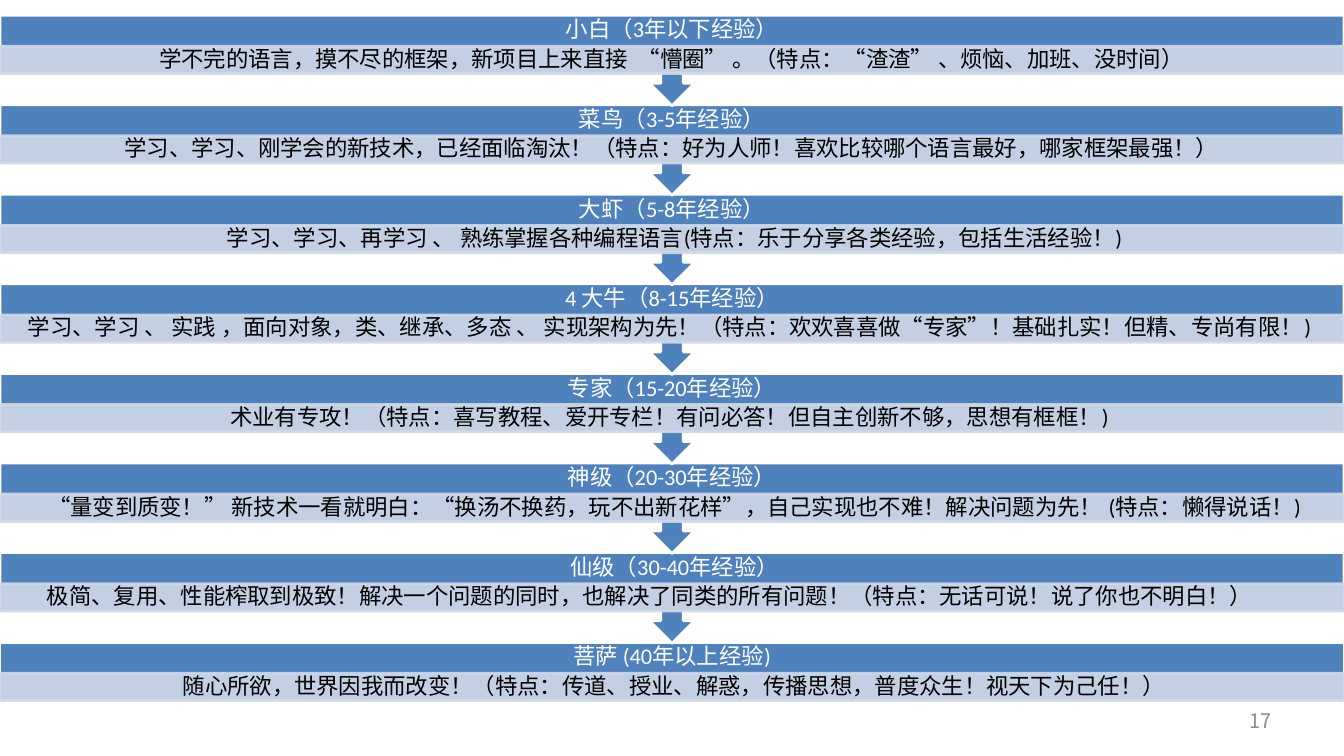
from lxml import etree
from pptx import Presentation
from pptx.dml.color import RGBColor
from pptx.enum.shapes import MSO_SHAPE
from pptx.enum.text import MSO_ANCHOR, PP_ALIGN
from pptx.oxml.ns import qn
from pptx.util import Inches, Pt

RECT, CALLOUT = MSO_SHAPE.RECTANGLE, MSO_SHAPE.UP_ARROW_CALLOUT
MIDDLE = MSO_ANCHOR.MIDDLE
CENTER, RIGHT = PP_ALIGN.CENTER, PP_ALIGN.RIGHT
WIDTH, HEIGHT = 13.33, 7.5
BLUE, PALE, WHITE, BLACK, GREY = "4F81BD", "D0D8E8", "FFFFFF", "000000", "8C8C8C"
TOP, BOTTOM = 0.15, 6.95
TITLE_H, DETAIL_H, LAST_H, CALLOUT_H = 0.31, 0.27, 0.58, 0.9

LEVELS = [
    ("小白（3年以下经验）",
     "学不完的语言，摸不尽的框架，新项目上来直接  “懵圈” 。（特点：“渣渣” 、烦恼、加班、没时间）"),
    ("菜鸟（3-5年经验）",
     "学习、学习、刚学会的新技术，已经面临淘汰！（特点：好为人师！喜欢比较哪个语言最好，哪家框架最强！）"),
    ("大虾（5-8年经验）",
     " 学习、学习、再学习 、 熟练掌握各种编程语言(特点：乐于分享各类经验，包括生活经验！)"),
    ("4 大牛（8-15年经验）",
     "学习、学习 、 实践 ，面向对象，类、继承、多态 、 实现架构为先！"
     "（特点：欢欢喜喜做“专家”！基础扎实！但精、专尚有限！) "),
    ("专家（15-20年经验）",
     "术业有专攻！（特点：喜写教程、爱开专栏！有问必答！但自主创新不够，思想有框框！) "),
    ("神级（20-30年经验）",
     " “量变到质变！” 新技术一看就明白：“换汤不换药，玩不出新花样”，自己实现也不难！"
     "解决问题为先！ (特点：懒得说话！)"),
    (" 仙级（30-40年经验）",
     " 极简、复用、性能榨取到极致！解决一个问题的同时，也解决了同类的所有问题！"
     "（特点：无话可说！说了你也不明白！）\t"),
    ("菩萨 (40年以上经验)",
     " 随心所欲，世界因我而改变！（特点：传道、授业、解惑，传播思想，普度众生！视天下为己任！）"),
]


def rgb(value):
    """Turn a hex string into a colour."""
    return RGBColor.from_string(value)


def add_box(s, kind, box, fill, line, alpha=None):
    """Add a filled, outlined shape, with an opacity in percent if given."""
    sp = s.shapes.add_shape(kind, *map(Inches, box))
    sp.shadow.inherit = False
    sp.fill.solid()
    sp.fill.fore_color.rgb = rgb(fill)
    sp.line.color.rgb = rgb(line)
    sp.line.width = Pt(2)
    if alpha:
        for clr in sp._element.spPr.iter(qn("a:srgbClr")):
            etree.SubElement(clr, qn("a:alpha")).set("val", str(alpha * 1000))
    return sp


def write(sp, text, color, size=16, font="Calibri", align=CENTER, spacing=0.9, inset=(0.12, 0.02)):
    """Write one vertically centred paragraph into a shape."""
    tf = sp.text_frame
    tf.word_wrap = True
    tf.vertical_anchor = MIDDLE
    tf.margin_left = tf.margin_right = Inches(inset[0])
    tf.margin_top = tf.margin_bottom = Inches(inset[1])
    p = tf.paragraphs[0]
    p.text = text
    p.alignment = align
    p.line_spacing = spacing
    f = p.runs[0].font
    f.size, f.name, f.color.rgb = Pt(size), font, rgb(color)


def add_level(s, top, title, detail, last):
    """Place one career level: title band, detail band and arrow to the next."""
    kind, height = (RECT, LAST_H) if last else (CALLOUT, CALLOUT_H)
    band = add_box(s, kind, (0, top, WIDTH, height), BLUE, WHITE)
    band.rotation = 0 if last else 180
    heading = s.shapes.add_textbox(*map(Inches, (0, top, WIDTH, TITLE_H)))
    write(heading, title, WHITE)
    strip = add_box(s, RECT, (0, top + TITLE_H, WIDTH, DETAIL_H), PALE, PALE, 90)
    write(strip, detail, BLACK)


def add_levels(s, top, bottom):
    """Stack the levels evenly, the lowest drawn first."""
    final = len(LEVELS) - 1
    pitch = (bottom - LAST_H - top) / final
    for i in range(final, -1, -1):
        add_level(s, top + i * pitch, *LEVELS[i], last=i == final)


def add_page_number(s, box, number):
    """Place the page number at the right of its box."""
    sp = s.shapes.add_textbox(*map(Inches, box))
    write(sp, number, GREY, 14.3, "Noto Sans CJK SC", RIGHT, 1.0, (0.06, 0.03))


def main():
    """Build and save the slide."""
    prs = Presentation()
    prs.slide_width, prs.slide_height = Inches(WIDTH), Inches(HEIGHT)
    s = prs.slides.add_slide(prs.slide_layouts[6])
    add_levels(s, TOP, BOTTOM)
    add_page_number(s, (9.56, BOTTOM, 3.11, 0.4), "17")
    prs.save("out.pptx")


if __name__ == "__main__":
    main()
